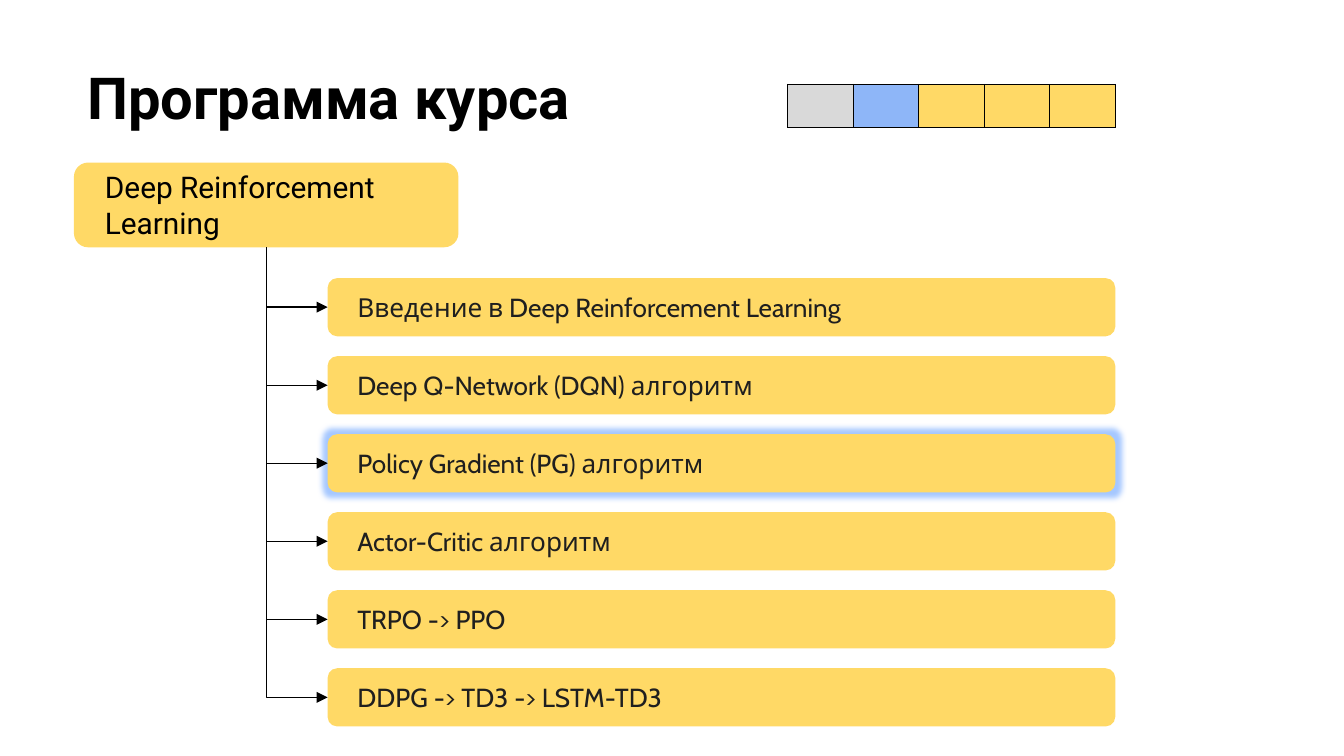
from lxml import etree
from pptx import Presentation
from pptx.dml.color import RGBColor
from pptx.enum import shapes, text
from pptx.oxml import ns
from pptx.util import Pt

HUES = {"ink": "000000", "soft": "1F1F1F", "gold": "FFD966",
        "blue": "8EB6F8", "grey": "D9D9D9", "glow": "A6C8FF"}
TOPICS = ["Введение в Deep Reinforcement Learning",
          "Deep Q-Network (DQN) алгоритм",
          "Policy Gradient (PG) алгоритм",
          "Actor-Critic алгоритм",
          "TRPO -> PPO",
          "DDPG -> TD3 -> LSTM-TD3"]
ACTIVE = 2
STEPS = ["grey", "blue", "gold", "gold", "gold"]


def hue(name):
    return RGBColor.from_string(HUES[name])


def sub(node, tag, **attrs):
    return etree.SubElement(node, ns.qn(tag), attrs)


def style(para, face, size, name, bold=False):
    para.alignment = text.PP_ALIGN.LEFT
    font = para.font
    font.name, font.size, font.bold = face, Pt(size), bold
    font.color.rgb = hue(name)


def add_title(slide, words):
    title = slide.shapes.title
    title.left, title.top = Pt(39.6), Pt(26)
    title.width, title.height = Pt(671), Pt(86.4)
    frame = title.text_frame
    frame.text = words
    frame.auto_size = text.MSO_AUTO_SIZE.NONE
    frame.vertical_anchor = text.MSO_ANCHOR.TOP
    frame.margin_left = frame.margin_right = Pt(7.2)
    frame.margin_top = frame.margin_bottom = Pt(7.2)
    style(frame.paragraphs[0], "Roboto", 31, "ink", True)


def add_box(slide, words, place, face, size, name):
    box = slide.shapes.add_shape(shapes.MSO_SHAPE.ROUNDED_RECTANGLE,
                                 *[Pt(n) for n in place])
    box.shadow.inherit = False
    box.fill.solid()
    box.fill.fore_color.rgb = hue("gold")
    box.line.fill.background()
    frame = box.text_frame
    frame.text = words
    frame.word_wrap = True
    frame.vertical_anchor = text.MSO_ANCHOR.MIDDLE
    frame.margin_left = frame.margin_right = Pt(14.4)
    frame.margin_top = frame.margin_bottom = Pt(7.2)
    style(frame.paragraphs[0], face, size, name)
    return box


def add_glow(box):
    effects = box._element.spPr.find(ns.qn("a:effectLst"))
    glow = sub(effects, "a:glow", rad=str(Pt(6)))
    sub(glow, "a:srgbClr", val=HUES["glow"])


def add_link(slide, root, box):
    x, y = root.left + root.width // 2, root.top + root.height
    wide, tall = box.left - x, box.top + box.height // 2 - y
    link = slide.shapes.add_connector(shapes.MSO_CONNECTOR.ELBOW,
                                      x, y, x + wide, y + tall)
    link.begin_connect(root, 2)
    link.end_connect(box, 1)
    # One bend: a turned and flipped frame, centred on the path
    link.left, link.top = x + (wide - tall) // 2, y + (tall - wide) // 2
    link.width, link.height = tall, wide
    props = link._element.spPr
    frame = props.find(ns.qn("a:xfrm"))
    frame.set("rot", "16200000")
    frame.set("flipH", "1")
    props.find(ns.qn("a:prstGeom")).set("prst", "bentConnector2")
    link.line.width = Pt(0.75)
    link.line.color.rgb = hue("ink")
    sub(link.line._get_or_add_ln(), "a:tailEnd", type="triangle")
    sub(props, "a:effectLst")


def add_steps(slide):
    table = slide.shapes.add_table(1, len(STEPS), Pt(422), Pt(45.2),
                                   Pt(175.5), Pt(23)).table
    table.first_row = table.horz_banding = False
    for cell, name in zip(table.rows[0].cells, STEPS):
        cell.margin_left = cell.margin_right = 0
        cell.margin_top = cell.margin_bottom = 0
        cell.text_frame.paragraphs[0].font.size = Pt(12)
        props = cell._tc.get_or_add_tcPr()
        for side in ("a:lnL", "a:lnR", "a:lnT", "a:lnB"):
            fill = sub(sub(props, side, w=str(Pt(0.75))), "a:solidFill")
            sub(fill, "a:srgbClr", val=HUES["ink"])
        cell.fill.solid()
        cell.fill.fore_color.rgb = hue(name)


def main():
    deck = Presentation()
    deck.slide_width, deck.slide_height = Pt(720), Pt(405)
    slide = deck.slides.add_slide(deck.slide_layouts[5])

    # Heading and progress strip
    add_title(slide, "Программа курса")
    add_steps(slide)

    # Course and its topics
    root = add_box(slide, "Deep Reinforcement Learning",
                   (39.6, 87.1, 206, 45.4), "Roboto", 16, "ink")
    for i, topic in enumerate(TOPICS):
        box = add_box(slide, topic, (175.5, 149 + 41.8 * i, 422, 31.2),
                      "Cabin", 14, "soft")
        if i == ACTIVE:
            add_glow(box)
        add_link(slide, root, box)

    deck.save("out.pptx")


if __name__ == "__main__":
    main()
